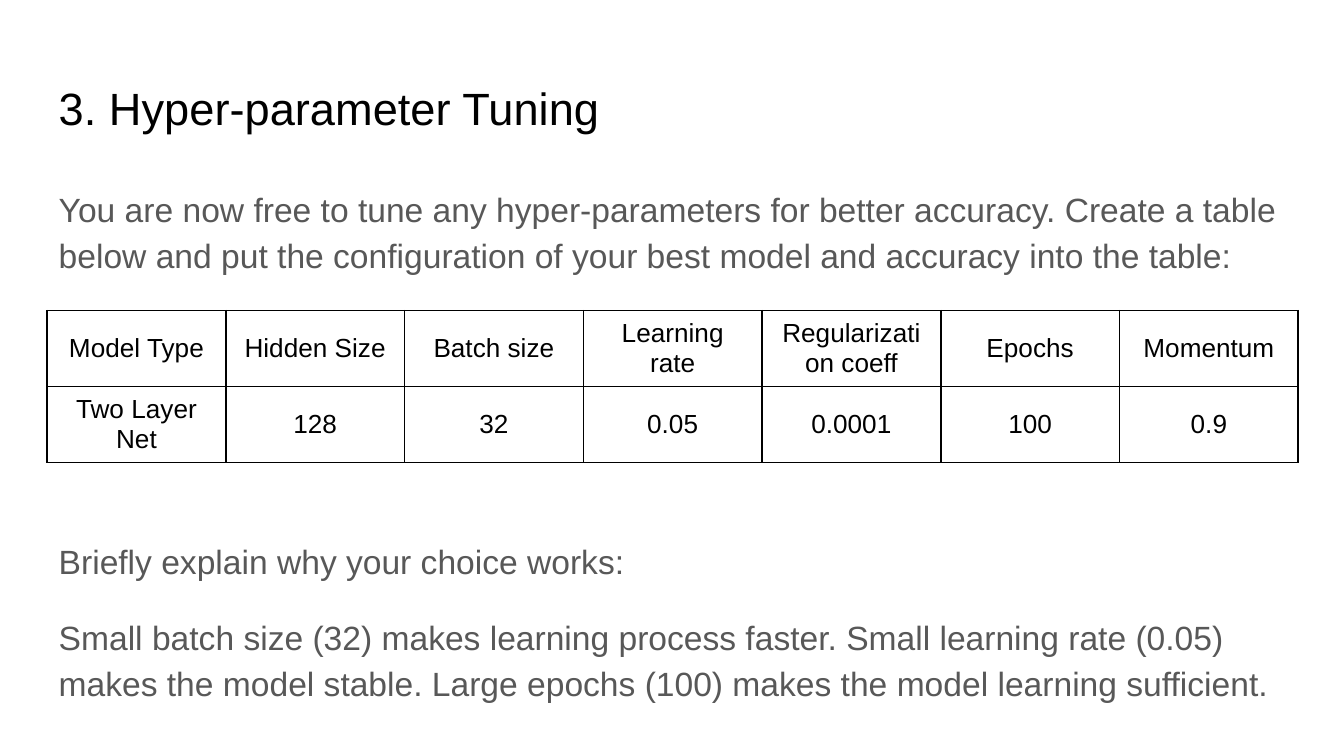
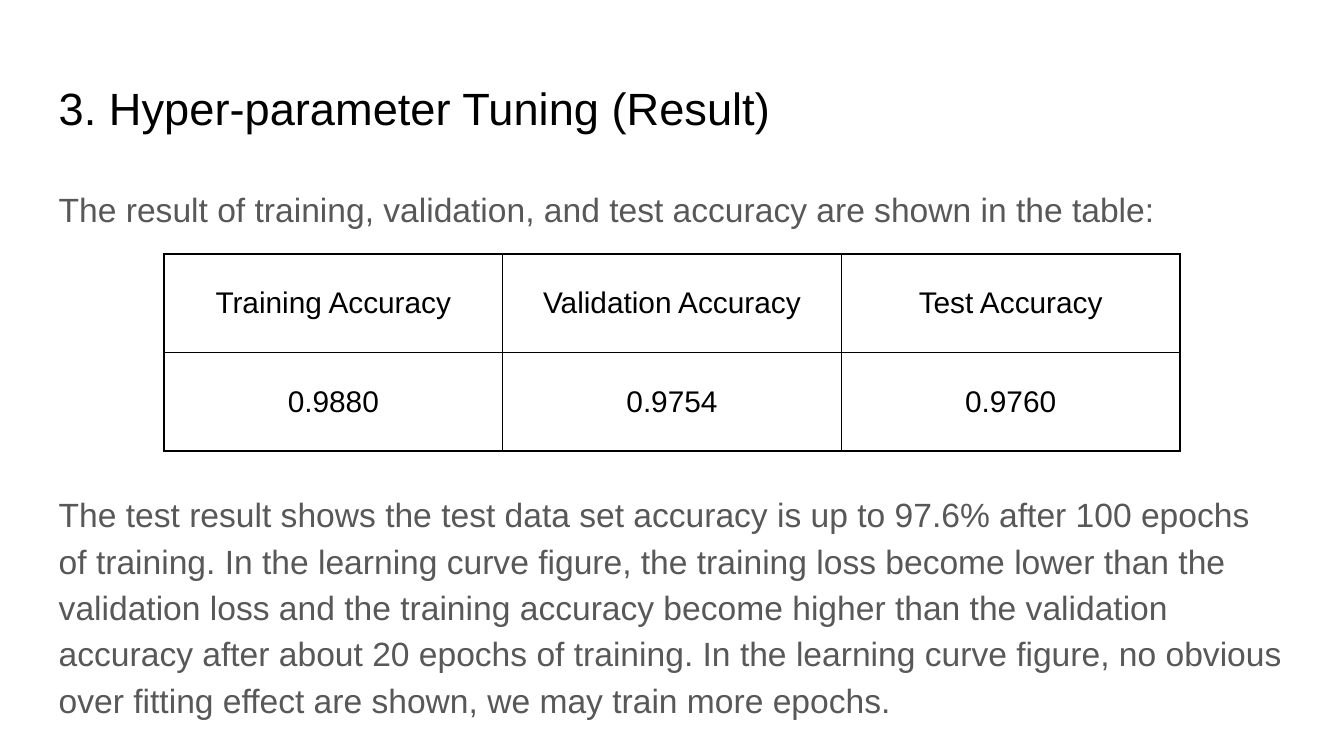
from lxml import etree
from pptx import Presentation
from pptx import util as u
from pptx.dml.color import RGBColor
from pptx.enum import text
from pptx.oxml import ns

COLORS = {"title": "000000", "body": "585858", "table": "000000"}
FONT = "Arial"
TITLE_BOX = (0.86, 1.24, 23.67, 1.6)
BODY_BOX = (0.86, 3.2, 23.67, 11.08)
TABLE_GAP = 139  # points left open in the body text for the table
PARAGRAPH_GAP = 16


class Deck:
    """Holds the shared style and the slide being built."""

    def __init__(self):
        """Start an empty widescreen presentation."""
        self.prs = Presentation()
        self.prs.slide_width = u.Cm(25.4)
        self.prs.slide_height = u.Cm(14.29)
        self.slide = None

    def new_slide(self):
        """Add a slide with a title and a body."""
        self.slide = self.prs.slides.add_slide(self.prs.slide_layouts[1])

    def add_run(self, paragraph, words, size, role):
        """Add one formatted run to a paragraph."""
        run = paragraph.add_run()
        run.text = words
        run.font.name = FONT
        run.font.size = u.Pt(size)
        run.font.color.rgb = RGBColor.from_string(COLORS[role])

    def place(self, holder, box, anchor):
        """Move a placeholder and return its text frame."""
        holder.left, holder.top, holder.width, holder.height = map(u.Cm, box)
        frame = holder.text_frame
        frame.word_wrap = True
        frame.auto_size = text.MSO_AUTO_SIZE.NONE
        frame.vertical_anchor = anchor
        frame.margin_left = frame.margin_right = u.Cm(0.25)
        frame.margin_top = frame.margin_bottom = u.Cm(0.25)
        return frame

    def title(self, words):
        """Fill the title placeholder."""
        frame = self.place(self.slide.shapes.title, TITLE_BOX, text.MSO_ANCHOR.MIDDLE)
        heading = frame.paragraphs[0]
        heading.alignment = text.PP_ALIGN.LEFT
        self.add_run(heading, words, 24.2, "title")

    def body(self, paragraphs):
        """Fill the body with (space before, words) paragraphs, without bullets."""
        frame = self.place(self.slide.placeholders[1], BODY_BOX, text.MSO_ANCHOR.TOP)
        for i, (gap, words) in enumerate(paragraphs):
            para = frame.add_paragraph() if i else frame.paragraphs[0]
            para.line_spacing = 1.15
            para.space_before = u.Pt(gap)
            para.space_after = u.Pt(0)
            props = para._p.get_or_add_pPr()
            props.set("marL", "0")
            props.set("indent", "0")
            etree.SubElement(props, ns.qn("a:buNone"))
            self.add_run(para, words, 18, "body")

    def border(self, cell):
        """Draw a thin line on all four sides of a cell."""
        props = cell._tc.get_or_add_tcPr()
        for i, side in enumerate(("lnL", "lnR", "lnT", "lnB")):
            line = etree.Element(ns.qn("a:" + side), w=str(u.Pt(1)))
            fill = etree.SubElement(line, ns.qn("a:solidFill"))
            etree.SubElement(fill, ns.qn("a:srgbClr"), val=COLORS["table"])
            props.insert(i, line)

    def table(self, rows, box, size):
        """Add a plain ruled table with equal columns and rows."""
        grid = self.slide.shapes.add_table(
            len(rows), len(rows[0]), *map(u.Cm, box)).table
        grid.first_row = grid.horz_banding = False
        for r, values in enumerate(rows):
            for c, value in enumerate(values):
                cell = grid.cell(r, c)
                cell.fill.background()
                cell.vertical_anchor = text.MSO_ANCHOR.MIDDLE
                para = cell.text_frame.paragraphs[0]
                para.alignment = text.PP_ALIGN.CENTER
                self.add_run(para, value, size, "table")
                self.border(cell)


deck = Deck()

deck.new_slide()
deck.title("3. Hyper-parameter Tuning")
deck.body([
    (0, "You are now free to tune any hyper-parameters for better accuracy. "
        "Create a table below and put the configuration of your best model "
        "and accuracy into the table:"),
    (TABLE_GAP, "Briefly explain why your choice works:"),
    (PARAGRAPH_GAP, "Small batch size (32) makes learning process faster. "
        "Small learning rate (0.05) makes the model stable. "
        "Large epochs (100) makes the model learning sufficient."),
])
deck.table([
    ["Model Type", "Hidden Size", "Batch size", "Learning rate",
     "Regularization coeff", "Epochs", "Momentum"],
    ["Two Layer Net", "128", "32", "0.05", "0.0001", "100", "0.9"],
], (0.89, 5.87, 23.65, 2.87), 14)

deck.new_slide()
deck.title("3. Hyper-parameter Tuning (Result)")
deck.body([
    (0, "The result of training, validation, and test accuracy are shown "
        "in the table:"),
    (TABLE_GAP, "The test result shows the test data set accuracy is up to "
        "97.6% after 100 epochs of training. In the learning curve figure, "
        "the training loss become lower than the validation loss and the "
        "training accuracy become higher than the validation accuracy after "
        "about 20 epochs of training. In the learning curve figure, no "
        "obvious over fitting effect are shown, we may train more epochs."),
])
deck.table([
    ["Training Accuracy", "Validation Accuracy", "Test Accuracy"],
    ["0.9880", "0.9754", "0.9760"],
], (3.1, 4.8, 19.2, 3.73), 16)

deck.prs.save("out.pptx")
